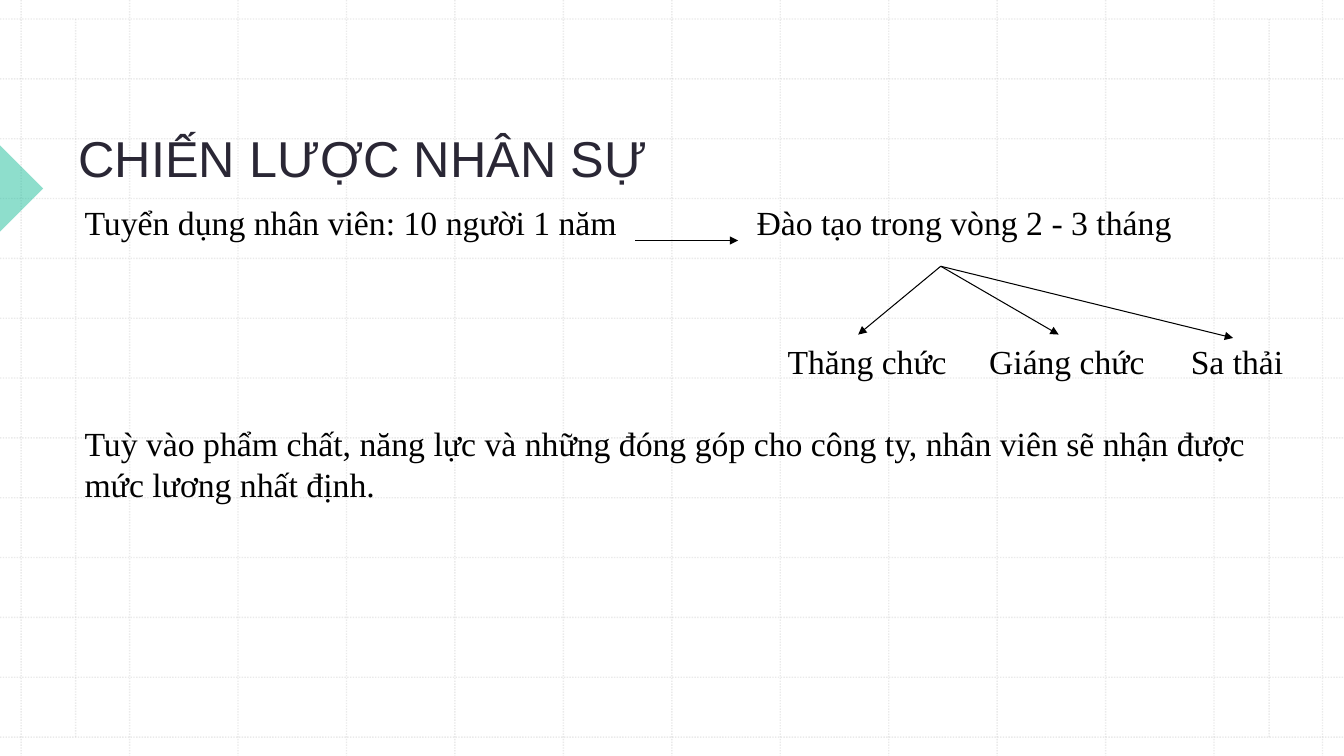
import pptx
import pptx.dml.color
import pptx.enum.dml
import pptx.enum.shapes
import pptx.enum.text
import pptx.oxml.ns
import pptx.util
from lxml import etree

Pt = pptx.util.Pt
RGBColor = pptx.dml.color.RGBColor
qn = pptx.oxml.ns.qn

GRID = RGBColor(0xBC, 0xBC, 0xBC)
TEAL = RGBColor(0x1E, 0xBE, 0x9B)
NAVY = RGBColor(0x2A, 0x27, 0x35)
BLACK = RGBColor(0, 0, 0)
WIDTH, HEIGHT = 960, 540

prs = pptx.Presentation()
prs.slide_width, prs.slide_height = Pt(WIDTH), Pt(HEIGHT)
s = prs.slides.add_slide(prs.slide_layouts[6])


def add_line(x1, y1, x2, y2, color, width):
    c = s.shapes.add_connector(pptx.enum.shapes.MSO_CONNECTOR.STRAIGHT,
                               Pt(x1), Pt(y1), Pt(x2), Pt(y2))
    c.line.color.rgb = color
    c.line.width = Pt(width)
    etree.SubElement(c._element.spPr, qn("a:effectLst"))
    return c


def add_text(x, y, w, h, paragraphs, font, size, color, tabs=(), gap=0):
    sp = s.shapes.add_textbox(Pt(x), Pt(y), Pt(w), Pt(h))
    tf = sp.text_frame
    tf.word_wrap = True
    for i, text in enumerate(paragraphs):
        p = tf.add_paragraph() if i else tf.paragraphs[0]
        if tabs and "\t" in text:
            tab_list = etree.SubElement(p._p.get_or_add_pPr(), qn("a:tabLst"))
            for pos in tabs:
                etree.SubElement(tab_list, qn("a:tab"), pos=str(Pt(pos)), algn="l")
        if i:
            p.space_before = Pt(gap)
        r = p.add_run()
        r.text = text
        r.font.name, r.font.size = font, Pt(size)
        r.font.color.rgb = color
    return tf


# Background grid: 13 lines each way, plus two inner margins
TOP, ROW = 13.6, 42.74
LEFT, COLUMN = 15.12, 77.46
BOTTOM = TOP + 12 * ROW
grid = [(LEFT + i * COLUMN, 0, LEFT + i * COLUMN, HEIGHT) for i in range(13)]
grid += [(0, TOP + i * ROW, WIDTH, TOP + i * ROW) for i in range(13)]
grid += [(x, TOP, x, BOTTOM) for x in (54, 906.5)]
for ends in grid:
    c = add_line(*ends, GRID, 1)
    c.line.dash_style = pptx.enum.dml.MSO_LINE.ROUND_DOT
    for clr in c._element.spPr.iter(qn("a:srgbClr")):
        etree.SubElement(clr, qn("a:alpha"), val="30000")

# Teal marker at the left edge
sp = s.shapes.add_shape(pptx.enum.shapes.MSO_SHAPE.RIGHT_TRIANGLE,
                        Pt(-23), Pt(112.3), Pt(44.6), Pt(44.6))
sp.rotation = 225
sp.shadow.inherit = False
sp.line.fill.background()
sp.fill.solid()
sp.fill.fore_color.rgb = TEAL
for clr in sp._element.spPr.iter(qn("a:srgbClr")):
    etree.SubElement(clr, qn("a:alpha"), val="50000")

# Title
tf = add_text(49, 75.6, 826.6, 62, ["CHIẾN LƯỢC NHÂN SỰ"], "Arial", 36, NAVY)
tf.vertical_anchor = pptx.enum.text.MSO_ANCHOR.BOTTOM

# Body and the three outcomes
add_text(53.3, 140.4, 877.7, 247,
         ["Tuyển dụng nhân viên: 10 người 1 năm\tĐào tạo trong vòng 2 - 3 tháng",
          "Tuỳ vào phẩm chất, năng lực và những đóng góp cho công ty, "
          "nhân viên sẽ nhận được mức lương nhất định."],
         "Times New Roman", 24.1, BLACK, tabs=[480], gap=129.5)
add_text(555.5, 239.8, 381, 36, ["Thăng chức\tGiáng chức\tSa thải"],
         "Times New Roman", 24, BLACK, tabs=[144, 288])

# Arrows: recruiting to training, then training to each outcome
FORK = (672, 190.2)
arrows = [(453.6, 171.8, 527.3, 171.8)]
arrows += [(*FORK, x, y) for x, y in ((880.8, 241.4), (756.2, 239), (613, 239))]
for ends in arrows:
    c = add_line(*ends, BLACK, 0.75)
    etree.SubElement(c.line._get_or_add_ln(), qn("a:tailEnd"), type="triangle")

prs.save("out.pptx")
